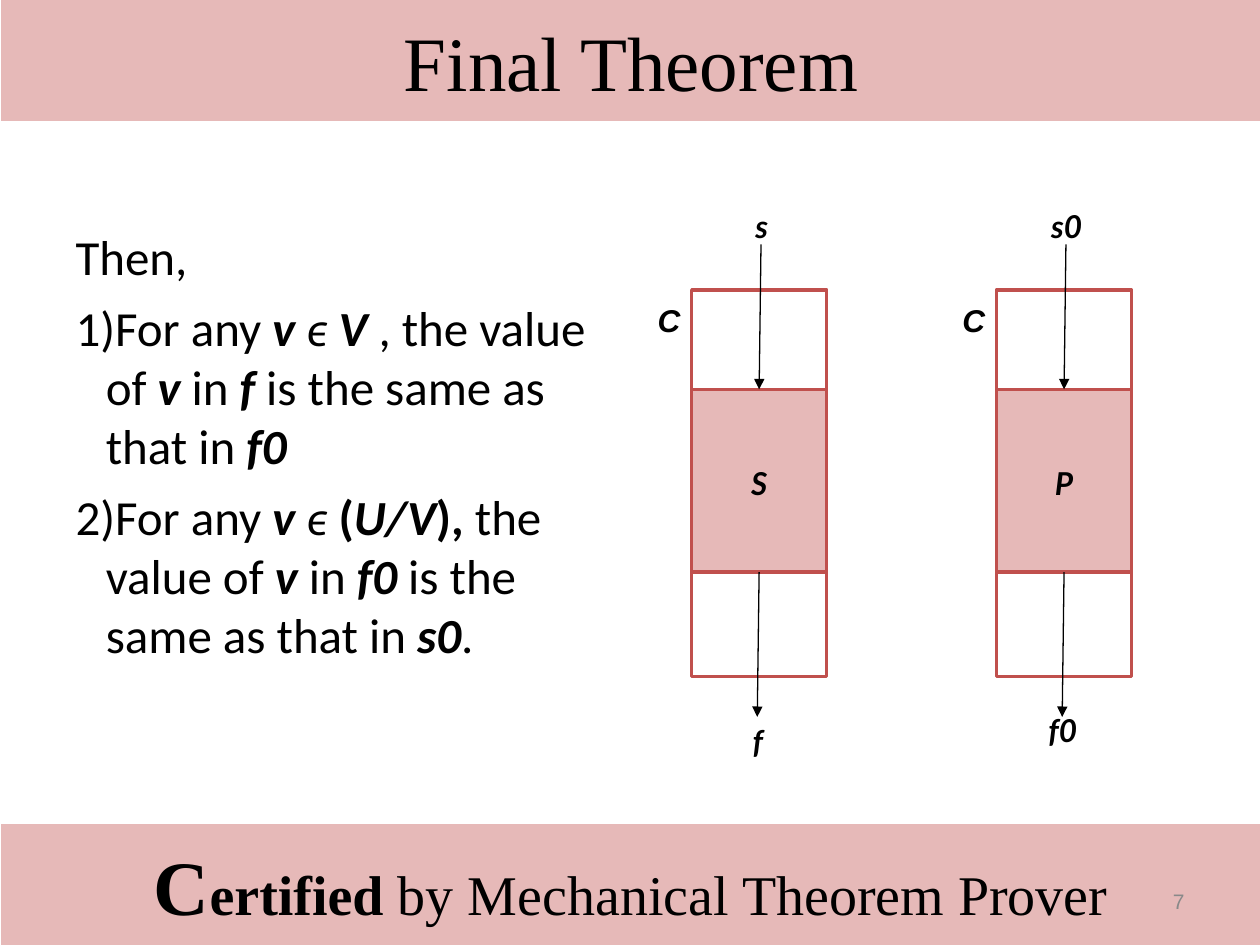
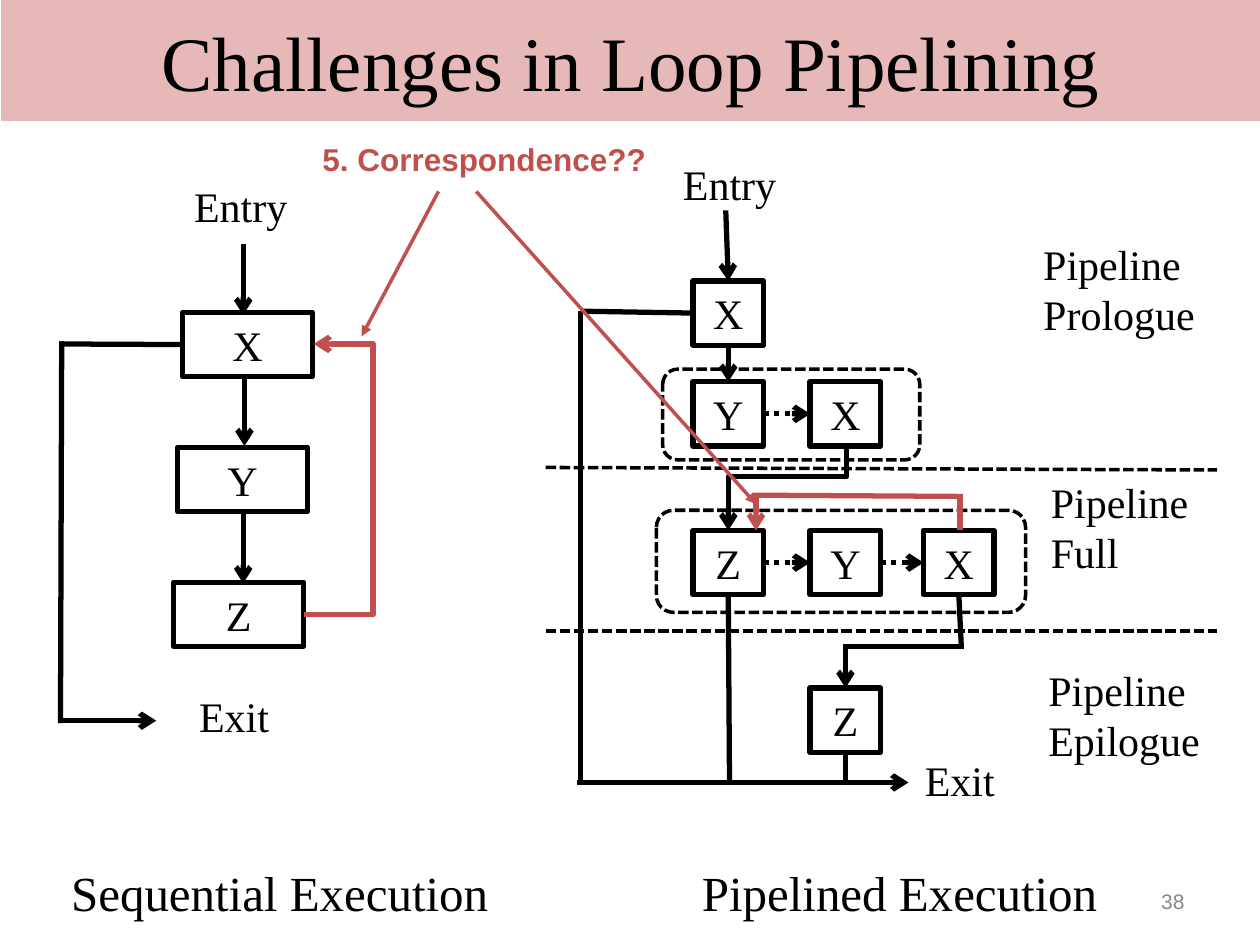
from lxml.etree import SubElement
from pptx import Presentation
from pptx.dml.color import RGBColor
from pptx.enum.dml import MSO_LINE
from pptx.enum.shapes import MSO_CONNECTOR, MSO_SHAPE
from pptx.enum.text import MSO_ANCHOR, MSO_AUTO_SIZE, PP_ALIGN
from pptx.oxml.ns import qn
from pptx.util import Inches, Pt

BLACK, RED, PINK, GREY = "000000", "C0504D", "E6B9B8", "898989"
SERIF, SANS, BODY, SYMBOL = "Times New Roman", "Arial", "Calibri", "Lato"
TOP, LEFT, BOTTOM, RIGHT = range(4)
BAND = (0.01, 0, 10, 0.96)
WIDE_INSET, NARROW_INSET = (0.1, 0.05), (0.05, 0.02)


def color(value):
    return RGBColor.from_string(value)


def format_run(run, font, size, ink=BLACK, bold=False, italic=False):
    run.font.name = font
    run.font.size = Pt(size)
    run.font.color.rgb = color(ink)
    run.font.bold = bold
    run.font.italic = italic


def move(shape, left, top, width, height):
    shape.left, shape.top = Inches(left), Inches(top)
    shape.width, shape.height = Inches(width), Inches(height)


def set_frame(shape, inset, anchor, wrap=True):
    frame = shape.text_frame
    frame.auto_size = MSO_AUTO_SIZE.NONE
    frame.word_wrap = wrap
    frame.vertical_anchor = anchor
    frame.margin_left = frame.margin_right = Inches(inset[0])
    frame.margin_top = frame.margin_bottom = Inches(inset[1])
    return frame


def write(shape, text, font, size, ink=BLACK, bold=False, italic=False,
          align=PP_ALIGN.LEFT, anchor=MSO_ANCHOR.TOP, inset=WIDE_INSET, wrap=True):
    frame = set_frame(shape, inset, anchor, wrap)
    frame.text = text
    para = frame.paragraphs[0]
    para.alignment = align
    format_run(para.runs[0], font, size, ink, bold, italic)


def add_label(slide, text, place, font, size, **style):
    box = slide.shapes.add_textbox(*map(Inches, place))
    write(box, text, font, size, **style)


def add_title(slide, text):
    title = slide.shapes.title
    move(title, *BAND)
    title.fill.solid()
    title.fill.fore_color.rgb = color(PINK)
    write(title, text, SERIF, 44, align=PP_ALIGN.CENTER, anchor=MSO_ANCHOR.MIDDLE)


def add_page_number(slide, number):
    add_label(slide, number, (7.17, 6.95, 2.33, 0.4), SANS, 12, ink=GREY,
              align=PP_ALIGN.RIGHT, anchor=MSO_ANCHOR.MIDDLE)


def add_box(slide, place, fill=None, ink=None, weight=2, dash=None, kind=MSO_SHAPE.RECTANGLE):
    box = slide.shapes.add_shape(kind, *map(Inches, place))
    box.shadow.inherit = False
    if fill:
        box.fill.solid()
        box.fill.fore_color.rgb = color(fill)
    else:
        box.fill.background()
    if ink:
        box.line.color.rgb = color(ink)
        box.line.width = Pt(weight)
        box.line.dash_style = dash
    else:
        box.line.fill.background()
    return box


def add_node(slide, text, left, top, width):
    node = add_box(slide, (left, top, width, 0.51), ink=BLACK, weight=3)
    write(node, text, SERIF, 24, align=PP_ALIGN.CENTER, anchor=MSO_ANCHOR.MIDDLE,
          inset=NARROW_INSET)
    return node


def style_connector(connector, ink, weight, dash, head):
    connector.line.color.rgb = color(ink)
    connector.line.width = Pt(weight)
    connector.line.dash_style = dash
    properties = connector._element.spPr
    if head:
        SubElement(properties.find(qn("a:ln")), qn("a:tailEnd"), type=head)
    SubElement(properties, qn("a:effectLst"))


def add_line(slide, start, end, ink=BLACK, weight=3, dash=None, head=None):
    connector = slide.shapes.add_connector(MSO_CONNECTOR.STRAIGHT, 0, 0, 0, 0)
    if isinstance(start[0], (int, float)):
        connector.begin_x, connector.begin_y = map(Inches, start)
    else:
        connector.begin_connect(*start)
    if isinstance(end[0], (int, float)):
        connector.end_x, connector.end_y = map(Inches, end)
    else:
        connector.end_connect(*end)
    style_connector(connector, ink, weight, dash, head)


def add_elbow(slide, start, end, bend, ink, degrees=0):
    connector = slide.shapes.add_connector(MSO_CONNECTOR.ELBOW, *map(Inches, start + end))
    properties = connector._element.spPr
    if degrees:
        properties.find(qn("a:xfrm")).set("rot", str(degrees * 60000))
    adjustments = properties.find(qn("a:prstGeom")).get_or_add_avLst()
    SubElement(adjustments, qn("a:gd"), name="adj1", fmla=f"val {round(bend * 100000)}")
    style_connector(connector, ink, 3, None, "arrow")


def add_theorem(slide):
    body = slide.placeholders[1]
    move(body, 0.5, 1.75, 4.42, 4.95)
    frame = set_frame(body, WIDE_INSET, MSO_ANCHOR.TOP)
    statements = [
        [("Then,", "")],
        [("For any ", ""), ("v ", "bi"), ("ϵ ", "i"), ("V ", "bi"), (", the value of ", ""),
         ("v ", "bi"), ("in ", ""), ("f ", "bi"), ("is the same as that in ", ""), ("f0", "bi")],
        [("For any ", ""), ("v ", "bi"), ("ϵ ", "i"), ("(", "b"), ("U/V", "bi"), ("), ", "b"),
         ("the value of ", ""), ("v ", "bi"), ("in ", ""), ("f0 ", "bi"),
         ("is the same as that in ", ""), ("s0", "bi"), (".", "")],
    ]
    for index, statement in enumerate(statements):
        para = frame.paragraphs[0] if index == 0 else frame.add_paragraph()
        properties = para._p.get_or_add_pPr()
        indent = Inches(0.24) if index else 0
        properties.set("marL", str(indent))
        properties.set("indent", str(-indent))
        if index:
            SubElement(properties, qn("a:buAutoNum"), type="arabicParenR")
        else:
            SubElement(properties, qn("a:buNone"))
        para.space_before = Pt(7 if index else 0)
        for text, style in statement:
            run = para.add_run()
            run.text = text
            format_run(run, BODY, 28, bold="b" in style, italic="i" in style)


def add_program(slide, left, name, before, after, after_top):
    symbol = {"bold": True, "italic": True, "align": PP_ALIGN.CENTER}
    block = add_box(slide, (left, 3.09, 1.07, 1.45), fill=PINK, ink=RED)
    context = add_box(slide, (left, 2.3, 1.07, 3.07), ink=RED)
    write(context, name, SYMBOL, 18, anchor=MSO_ANCHOR.MIDDLE, **symbol)
    add_label(slide, "C", (left - 0.37, 2.34, 0.38, 0.4), SANS, 18, wrap=False,
              bold=True, italic=True)
    add_label(slide, before, (left + 0.33, 1.59, 0.45, 0.4), SYMBOL, 18, wrap=False, **symbol)
    add_label(slide, after, (left + 0.3, after_top, 0.45, 0.4), SYMBOL, 18, wrap=False, **symbol)
    add_line(slide, (left + 0.55, 1.94), (block, TOP), weight=0.75, head="triangle")
    add_line(slide, (block, BOTTOM), (left + 0.52, 5.69), weight=0.75, head="triangle")


def add_final_theorem(deck):
    slide = deck.slides.add_slide(deck.slide_layouts[1])
    add_title(slide, "Final Theorem")
    footer = add_box(slide, (0.01, 6.54, 10, 0.96), fill=PINK)
    frame = set_frame(footer, WIDE_INSET, MSO_ANCHOR.MIDDLE)
    para = frame.paragraphs[0]
    para.alignment = PP_ALIGN.CENTER
    for text, size, bold in [("C", 44, True), ("ertified", 32, True),
                             (" by Mechanical Theorem Prover", 32, False)]:
        run = para.add_run()
        run.text = text
        format_run(run, SERIF, size, bold=bold)
    add_theorem(slide)
    add_program(slide, 5.49, "S", "s", "f", 5.68)
    add_program(slide, 7.91, "P", "s0", "f0", 5.59)
    add_page_number(slide, "7")


def add_sequential_loop(slide):
    for text, left, top in [("X", 1.45, 2.48), ("Y", 1.41, 3.55), ("Z", 1.38, 4.62)]:
        node = add_node(slide, text, left, top, 1.03)
        if text == "X":
            add_line(slide, (0.47, 2.73), (node, LEFT))
    for x, top, bottom in [(1.93, 1.94, 2.5), (1.94, 2.98, 3.54), (1.93, 4.08, 4.63)]:
        add_line(slide, (x, top), (x, bottom), head="arrow")
    add_line(slide, (0.49, 2.71), (0.48, 5.74))
    add_line(slide, (0.46, 5.72), (1.24, 5.72), head="arrow")
    add_elbow(slide, (2.41, 4.88), (2.49, 2.73), 6.9, RED)


def add_pipelined_loop(slide):
    columns = (5.5, 6.43, 7.33)
    first_x, first_y, second_x, full_z, full_y, full_x, last_z = [
        add_node(slide, text, columns[column], top, 0.56)
        for text, column, top in [("X", 0, 2.23), ("Y", 0, 3.03), ("X", 1, 3.03), ("Z", 0, 4.21),
                                  ("Y", 1, 4.21), ("X", 2, 4.21), ("Z", 1, 5.46)]]
    for place in [(5.26, 2.93, 2.04, 0.72), (5.21, 4.05, 2.93, 0.81)]:
        add_box(slide, place, ink=BLACK, dash=MSO_LINE.SQUARE_DOT,
                kind=MSO_SHAPE.ROUNDED_RECTANGLE)
    for start, end in [((4.33, 3.71), (9.66, 3.73)), ((4.33, 5.01), (9.66, 5.01))]:
        add_line(slide, start, end, weight=2, dash=MSO_LINE.SQUARE_DOT)
    for source, target in [(first_y, second_x), (full_z, full_y), (full_y, full_x)]:
        add_line(slide, (source, RIGHT), (target, LEFT), dash=MSO_LINE.ROUND_DOT, head="arrow")
    for start, end in [((5.76, 1.67), (first_x, TOP)), ((first_x, BOTTOM), (first_y, TOP)),
                       ((6.71, 5.13), (last_z, TOP)), ((6.94, 6.21), (7.21, 6.21))]:
        add_line(slide, start, end, head="arrow")
    for start, end in [((4.61, 2.47), (first_x, LEFT)), ((4.61, 2.47), (4.61, 6.2)),
                       ((4.58, 6.21), (6.97, 6.21)), ((full_z, BOTTOM), (5.79, 6.22)),
                       ((last_z, BOTTOM), (6.71, 6.21)), ((6.69, 5.13), (7.65, 5.13)),
                       ((full_x, BOTTOM), (7.63, 5.14))]:
        add_line(slide, start, end)
    add_elbow(slide, (5.91, 3.4), (6.59, 4.34), 0.37, BLACK, 90)
    add_line(slide, (6, 3.91), (6, 4.21), RED, head="arrow")
    add_line(slide, (5.98, 3.93), (7.64, 3.94), RED)
    add_line(slide, (7.62, 3.92), (7.62, 4.21), RED)


def add_loop_pipelining(deck):
    slide = deck.slides.add_slide(deck.slide_layouts[5])
    add_title(slide, "Challenges in Loop Pipelining")
    add_sequential_loop(slide)
    add_pipelined_loop(slide)
    for text, left, top, width, height in [
            ("Entry", 1.49, 1.41, 0.96, 0.45), ("Exit", 1.53, 5.46, 1.62, 0.45),
            ("Entry", 5.37, 1.24, 1.25, 0.45), ("Exit", 7.29, 5.97, 0.88, 0.45),
            ("Pipeline Prologue", 8.23, 1.87, 1.36, 0.85),
            ("Pipeline Full", 8.29, 3.76, 1.36, 0.85),
            ("Pipeline Epilogue", 8.27, 5.25, 1.36, 0.85)]:
        add_label(slide, text, (left, top, width, height), SERIF, 24, inset=NARROW_INSET)
    for text, left, width in [("Sequential Execution", 0.07, 4.3),
                              ("Pipelined Execution", 5.17, 3.94)]:
        add_label(slide, text, (left, 6.79, width, 0.57), SERIF, 28,
                  align=PP_ALIGN.CENTER, anchor=MSO_ANCHOR.BOTTOM)
    add_label(slide, "5. Correspondence??", (2.46, 1.06, 2.79, 0.4), SANS, 18, ink=RED, bold=True)
    add_line(slide, (3.48, 1.52), (2.87, 2.67), RED, 2, head="triangle")
    add_line(slide, (3.78, 1.52), (6, 4), RED, 2, head="triangle")
    add_page_number(slide, "38")


def main():
    deck = Presentation()
    deck.slide_width, deck.slide_height = Inches(10), Inches(7.5)
    add_final_theorem(deck)
    add_loop_pipelining(deck)
    deck.save("out.pptx")


if __name__ == "__main__":
    main()
